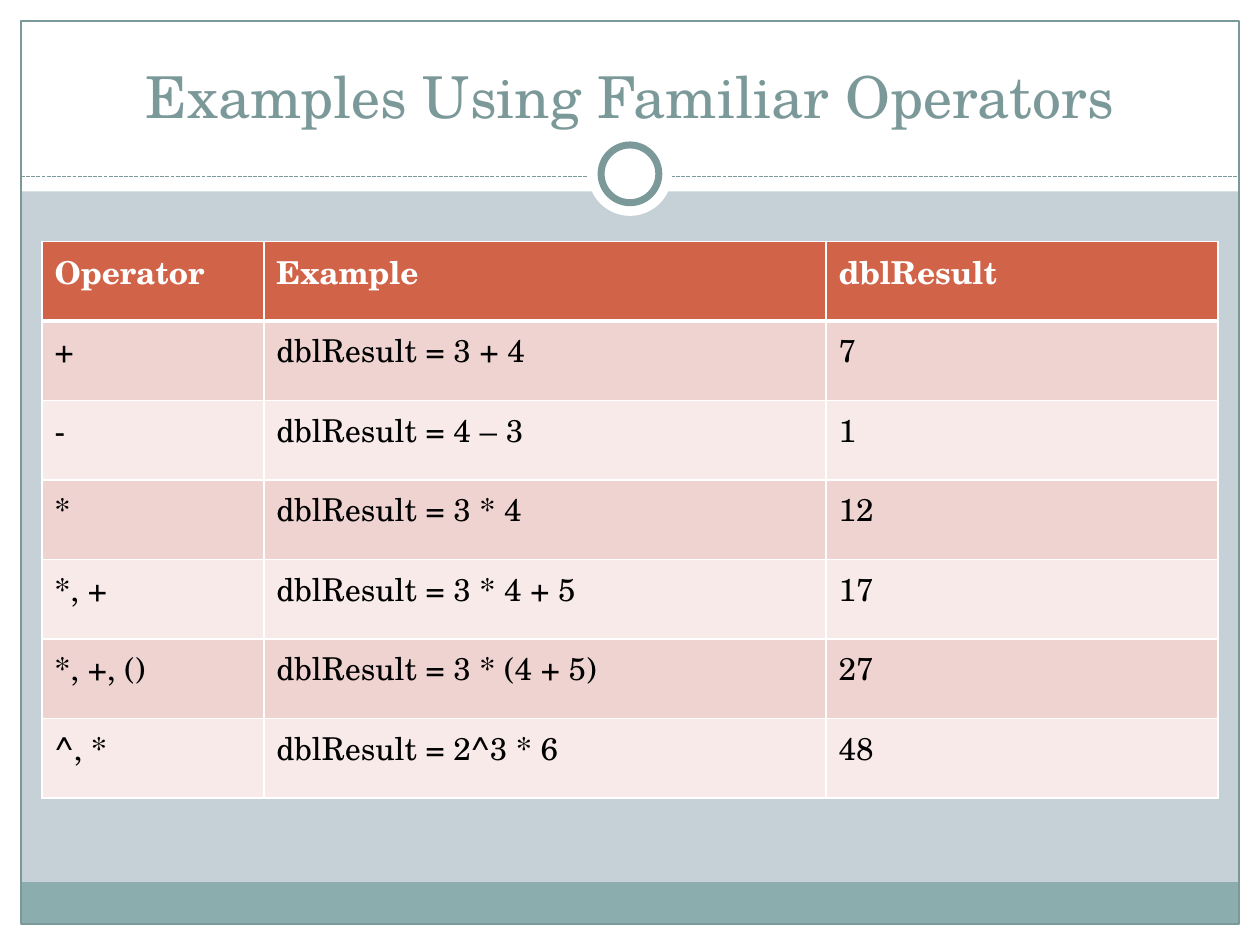
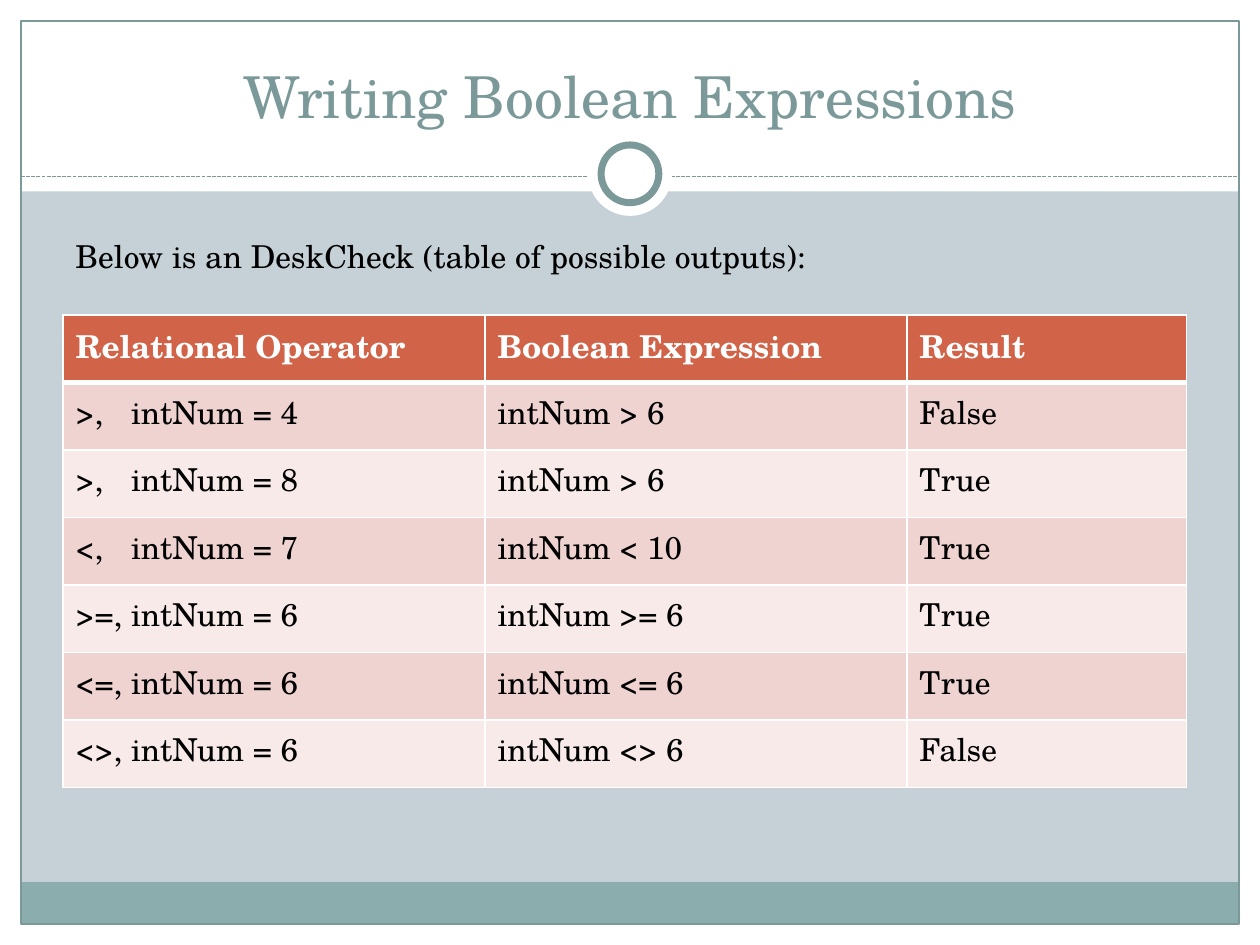
from lxml import etree
from pptx import Presentation
from pptx.dml.color import RGBColor
from pptx.enum.dml import MSO_LINE
from pptx.enum.shapes import MSO_CONNECTOR, MSO_SHAPE
from pptx.enum.text import MSO_ANCHOR, PP_ALIGN
from pptx.oxml.ns import qn
from pptx.util import Inches, Pt

RECTANGLE, OVAL = MSO_SHAPE.RECTANGLE, MSO_SHAPE.OVAL
STRAIGHT, DASHED = MSO_CONNECTOR.STRAIGHT, MSO_LINE.SQUARE_DOT
LEFT, CENTER = PP_ALIGN.LEFT, PP_ALIGN.CENTER
TOP, BOTTOM = MSO_ANCHOR.TOP, MSO_ANCHOR.BOTTOM

WHITE = RGBColor(0xFF, 0xFF, 0xFF)
BLACK = RGBColor(0x00, 0x00, 0x00)
BACKDROP = RGBColor(0xC5, 0xD1, 0xD7)
TEAL = RGBColor(0x7C, 0x99, 0x9A)
FOOTER_TEAL = RGBColor(0x8C, 0xAD, 0xAE)
HEADER_RED = RGBColor(0xD1, 0x63, 0x49)
ROW_TINTS = [RGBColor(0xF7, 0xEA, 0xE9), RGBColor(0xEE, 0xD3, 0xD0)]
FONT = "TeX Gyre Schola"

# Grid: 60 columns by 45 rows of square units
COLS, ROWS = 60, 45
UNIT = Inches(10) / COLS
OPERATOR_TAB = Inches(0.44)

deck = Presentation()
deck.slide_width, deck.slide_height = Inches(10), Inches(7.5)

lessons = [
    {
        "title": "Examples Using Familiar Operators",
        "note": None,
        "table_box": (2, 11.5, 56, 26.5),
        "column_shares": (1.76, 4.46, 3.11),
        "rows": [
            ("Operator", "Example", "dblResult"),
            ("+", "dblResult = 3 + 4", "7"),
            ("-", "dblResult = 4 – 3", "1"),
            ("*", "dblResult = 3 * 4", "12"),
            ("*, +", "dblResult = 3 * 4 + 5", "17"),
            ("*, +, ()", "dblResult = 3 * (4 + 5)", "27"),
            ("^, *", "dblResult = 2^3 * 6", "48"),
        ],
    },
    {
        "title": "Writing Boolean Expressions",
        "note": "Below is an DeskCheck (table of possible outputs):",
        "table_box": (3, 15, 53.5, 22.5),
        "column_shares": (3.35, 3.35, 2.22),
        "rows": [
            ("Relational Operator", "Boolean Expression", "Result"),
            (">,\tintNum = 4", "intNum > 6", "False"),
            (">,\tintNum = 8", "intNum > 6", "True"),
            ("<,\tintNum = 7", "intNum < 10", "True"),
            (">=,\tintNum = 6", "intNum >= 6", "True"),
            ("<=,\tintNum = 6", "intNum <= 6", "True"),
            ("<>,\tintNum = 6", "intNum <> 6", "False"),
        ],
    },
]


def grid(*units):
    return [round(unit * UNIT) for unit in units]


def write(frame, text, size, color, bold=False, align=LEFT, anchor=TOP):
    frame.word_wrap = True
    frame.vertical_anchor = anchor
    paragraph = frame.paragraphs[0]
    paragraph.alignment = align
    run = paragraph.add_run()
    run.text = text
    run.font.name, run.font.size, run.font.bold = FONT, Pt(size), bold
    run.font.color.rgb = color
    return paragraph


# Shared decoration: kind, box in units, fill, line width in points
edges_and_frame = [
    (RECTANGLE, (0, ROWS - 1, COLS, 1), WHITE, 0),
    (RECTANGLE, (0, 0, COLS, 9.12), WHITE, 0),
    (RECTANGLE, (0, 0, 1, ROWS), WHITE, 0),
    (RECTANGLE, (COLS - 1, 0, 1, ROWS), WHITE, 0),
    (RECTANGLE, (1, ROWS - 3, COLS - 2, 2), FOOTER_TEAL, 0),
    (RECTANGLE, (1, 1, COLS - 2, ROWS - 2), None, 0.75),
]
RING_CENTER = 8.28
medallion = [
    (OVAL, (COLS / 2 - d / 2, RING_CENTER - d / 2, d, d), WHITE, line_width)
    for d, line_width in ((4, 0), (2.75, 4))
]

for lesson in lessons:
    slide = deck.slides.add_slide(deck.slide_layouts[6])
    slide.background.fill.solid()
    slide.background.fill.fore_color.rgb = BACKDROP

    # Bands, frame and ring, with the dashed rule running behind the ring
    for kind, box, fill, line_width in edges_and_frame + medallion:
        if (kind, box) == medallion[0][:2]:
            rule = slide.shapes.add_connector(STRAIGHT, *grid(1, 8.4, COLS - 1, 8.4))
            rule.line.color.rgb, rule.line.width = TEAL, Pt(0.75)
            rule.line.dash_style = DASHED
            etree.SubElement(rule._element.spPr, qn("a:effectLst"))
        part = slide.shapes.add_shape(kind, *grid(*box))
        part.shadow.inherit = False
        if fill is None:
            part.fill.background()
        else:
            part.fill.solid()
            part.fill.fore_color.rgb = fill
        if line_width:
            part.line.color.rgb, part.line.width = TEAL, Pt(line_width)
        else:
            part.line.fill.background()

    # Title and introductory note
    title = slide.shapes.add_textbox(*grid(2, 1.5, COLS - 4, 5))
    write(title.text_frame, lesson["title"], 33, TEAL, align=CENTER, anchor=BOTTOM)
    if lesson["note"]:
        note = slide.shapes.add_textbox(*grid(3, 11, 52.5, 2.4))
        write(note.text_frame, lesson["note"], 18, BLACK)

    # Operator table
    rows, shares = lesson["rows"], lesson["column_shares"]
    left, top, width, height = grid(*lesson["table_box"])
    table = slide.shapes.add_table(
        len(rows), len(shares), left, top, width, height).table
    for column, share in zip(table.columns, shares):
        column.width = round(width * share / sum(shares))
    for row in table.rows:
        row.height = round(height / len(rows))

    for r, texts in enumerate(rows):
        is_header = r == 0
        for c, text in enumerate(texts):
            cell = table.cell(r, c)
            properties = cell._tc.get_or_add_tcPr()
            for side in ("L", "R", "T", "B"):
                under_header = (r, side) in ((0, "B"), (1, "T"))
                border = etree.SubElement(
                    properties, qn("a:ln" + side), w=str(Pt(3 if under_header else 1)))
                solid = etree.SubElement(border, qn("a:solidFill"))
                etree.SubElement(solid, qn("a:srgbClr"), val=str(WHITE))
            cell.fill.solid()
            cell.fill.fore_color.rgb = HEADER_RED if is_header else ROW_TINTS[r % 2]
            paragraph = write(cell.text_frame, text, 18,
                              WHITE if is_header else BLACK, bold=is_header)
            if "\t" in text:
                tabs = etree.SubElement(paragraph._p.get_or_add_pPr(), qn("a:tabLst"))
                etree.SubElement(tabs, qn("a:tab"), pos=str(OPERATOR_TAB), algn="l")

deck.save("out.pptx")
